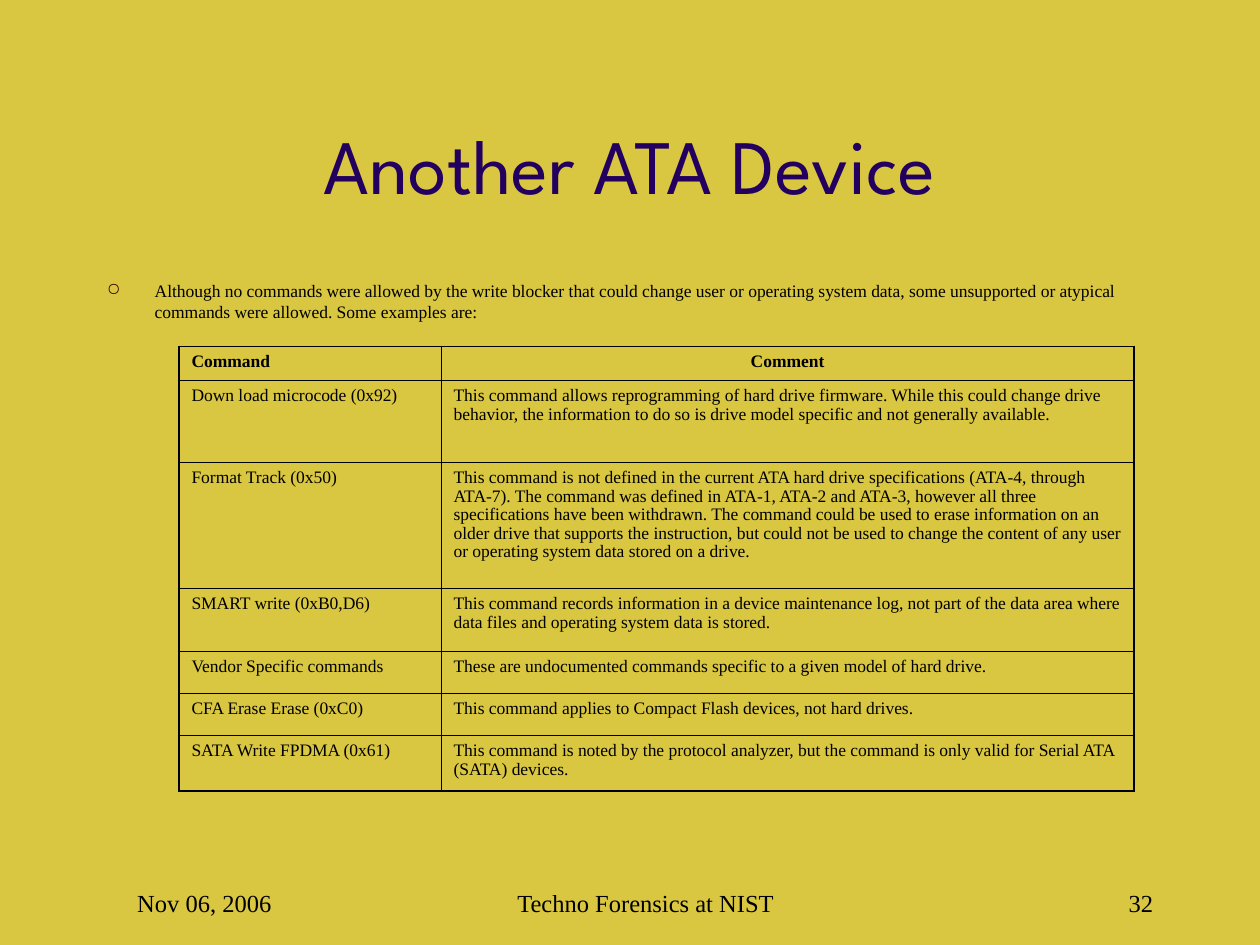
import pptx
import pptx.dml.color
import pptx.enum.text
import pptx.oxml
import pptx.oxml.ns
import pptx.util

Inches = pptx.util.Inches
Pt = pptx.util.Pt
Align = pptx.enum.text.PP_ALIGN
Anchor = pptx.enum.text.MSO_ANCHOR

SERIF = "Times New Roman"
INK = "000000"
ROWS = [
    (0.27, "Command", "Comment"),
    (0.65, "Down load microcode (0x92)",
     "This command allows reprogramming of hard drive firmware. While this could "
     "change drive behavior, the information to do so is drive model specific and "
     "not generally available."),
    (1, "Format Track (0x50)",
     "This command is not defined in the current ATA hard drive specifications "
     "(ATA-4, through ATA-7). The command was defined in ATA-1, ATA-2 and ATA-3, "
     "however all three specifications have been withdrawn. The command could be "
     "used to erase information on an older drive that supports the instruction, "
     "but could not be used to change the content of any user or operating system "
     "data stored on a drive."),
    (0.5, "SMART write (0xB0,D6)",
     "This command records information in a device maintenance log, not part of the "
     "data area where data files and operating system data is stored."),
    (0.33, "Vendor Specific commands",
     "These are undocumented commands specific to a given model of hard drive."),
    (0.34, "CFA Erase Erase (0xC0)",
     "This command applies to Compact Flash devices, not hard drives."),
    (0.44, "SATA Write FPDMA (0x61)",
     "This command is noted by the protocol analyzer, but the command is only valid "
     "for Serial ATA (SATA) devices."),
]


def color(code):
    return pptx.dml.color.RGBColor.from_string(code)


def node(tag, body="", **attrs):
    pairs = "".join(f' {key}="{val}"' for key, val in attrs.items())
    space = pptx.oxml.ns.nsdecls("a")
    return pptx.oxml.parse_xml(f"<a:{tag} {space}{pairs}>{body}</a:{tag}>")


class Deck:
    def __init__(self, back):
        self.show = pptx.Presentation()
        self.show.slide_width = Inches(10)
        self.show.slide_height = Inches(7.5)
        self.slide = self.show.slides.add_slide(self.show.slide_layouts[6])
        fill = self.slide.background.fill
        fill.solid()
        fill.fore_color.rgb = color(back)

    def run(self, para, words, size, face=SERIF, ink=INK, align=Align.LEFT, bold=False):
        para.alignment = align
        run = para.add_run()
        run.text = words
        run.font.size = Pt(size)
        run.font.name = face
        run.font.bold = bold
        run.font.color.rgb = color(ink)

    def text(self, box, words, size, anchor=Anchor.TOP, left=0, first=0, mark=None, **style):
        frame = self.slide.shapes.add_textbox(*map(Inches, box)).text_frame
        frame.word_wrap = True
        frame.vertical_anchor = anchor
        para = frame.paragraphs[0]
        props = para._p.get_or_add_pPr()
        props.set("marL", str(Inches(left)))
        props.set("indent", str(Inches(first)))
        if mark:
            props.append(node("buClr", '<a:srgbClr val="3C0000"/>'))
            props.append(node("buChar", char=mark))
        self.run(para, words, size, **style)

    def border(self, cell, sides):
        props = cell._tc.get_or_add_tcPr()
        for spot, (side, thick) in enumerate(sides.items()):
            width = Pt(1.08 if thick else 0.45)
            fill = f'<a:solidFill><a:srgbClr val="{INK}"/></a:solidFill>'
            props.insert(spot, node("ln" + side, fill, w=width))

    def table(self, box, widths, rows):
        grid = self.slide.shapes.add_table(len(rows), len(widths), *map(Inches, box)).table
        grid.first_row = grid.horz_banding = False
        for col, width in zip(grid.columns, widths):
            col.width = Inches(width)
        last, end = len(rows) - 1, len(widths) - 1
        for r, (height, *words) in enumerate(rows):
            grid.rows[r].height = Inches(height)
            for c, word in enumerate(words):
                cell = grid.cell(r, c)
                cell.fill.background()
                self.border(cell, {"L": c == 0, "R": c == end, "T": r == 0, "B": r == last})
                para = cell.text_frame.paragraphs[0]
                para.line_spacing = 0.96
                head = r == 0
                align = Align.CENTER if head and c else Align.LEFT
                self.run(para, word, 10, align=align, bold=head)

    def foot(self, left, width, words, align):
        self.text((left, 6.83, width, 0.5), words, 14, Anchor.BOTTOM, left=0.24, align=align)


def main():
    deck = Deck("D9C641")
    deck.text((0.75, 0.67, 8.5, 1.25), "Another ATA Device", 44, Anchor.MIDDLE,
              face="League Spartan", ink="23005F", align=Align.CENTER)
    deck.text((0.75, 2.17, 8.5, 4.5),
              "Although no commands were allowed by the write blocker that could change "
              "user or operating system data, some unsupported or atypical commands were "
              "allowed. Some examples are:", 10, left=0.38, first=-0.38, mark="○")
    deck.table((1.42, 2.75, 7.58, 3.53), (2.08, 5.5), ROWS)
    deck.foot(3.42, 3.17, "Techno Forensics at NIST", Align.CENTER)
    deck.foot(7.17, 2.08, "32", Align.RIGHT)
    deck.foot(0.75, 2.08, "Nov 06, 2006", Align.LEFT)
    deck.show.save("out.pptx")


if __name__ == "__main__":
    main()
